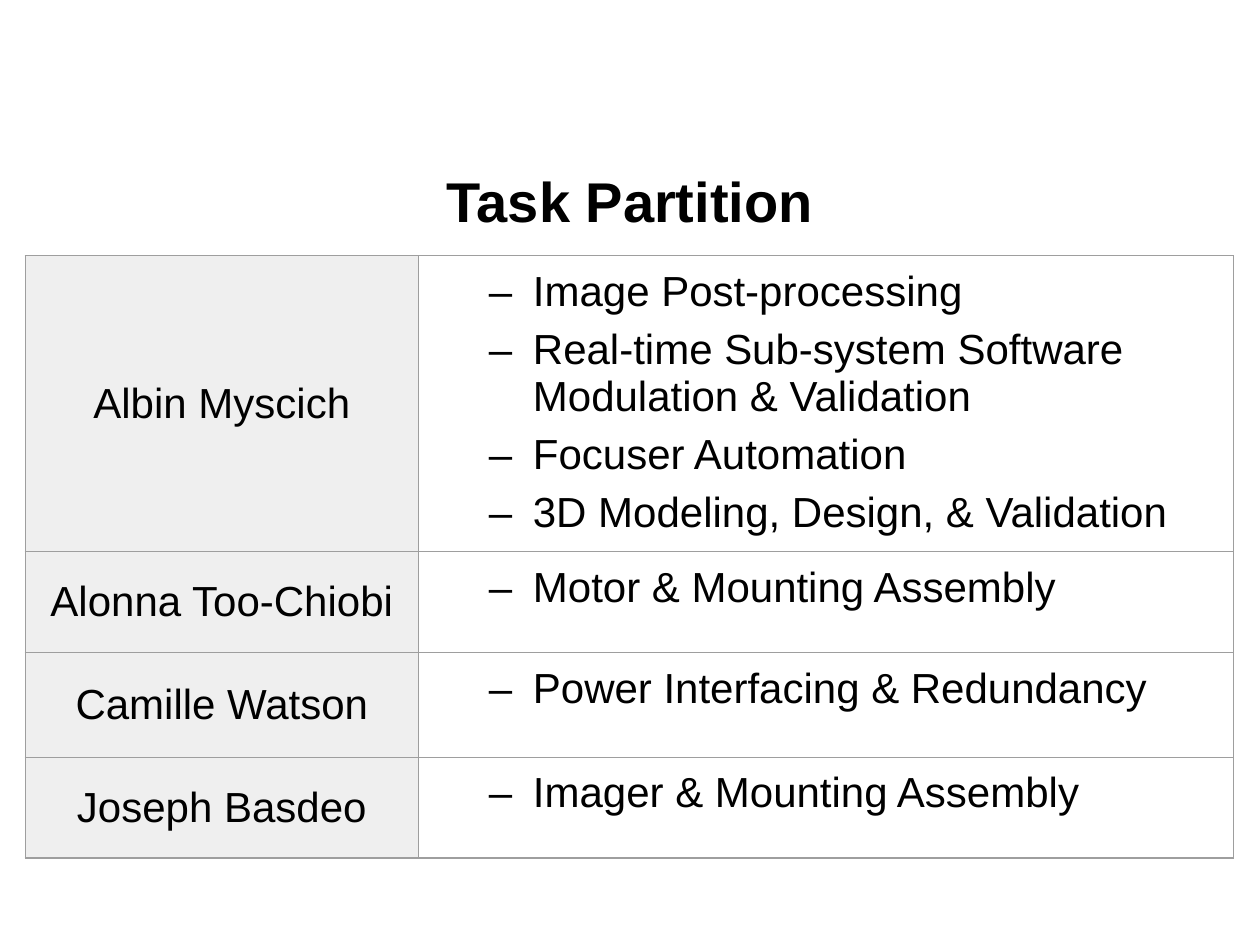
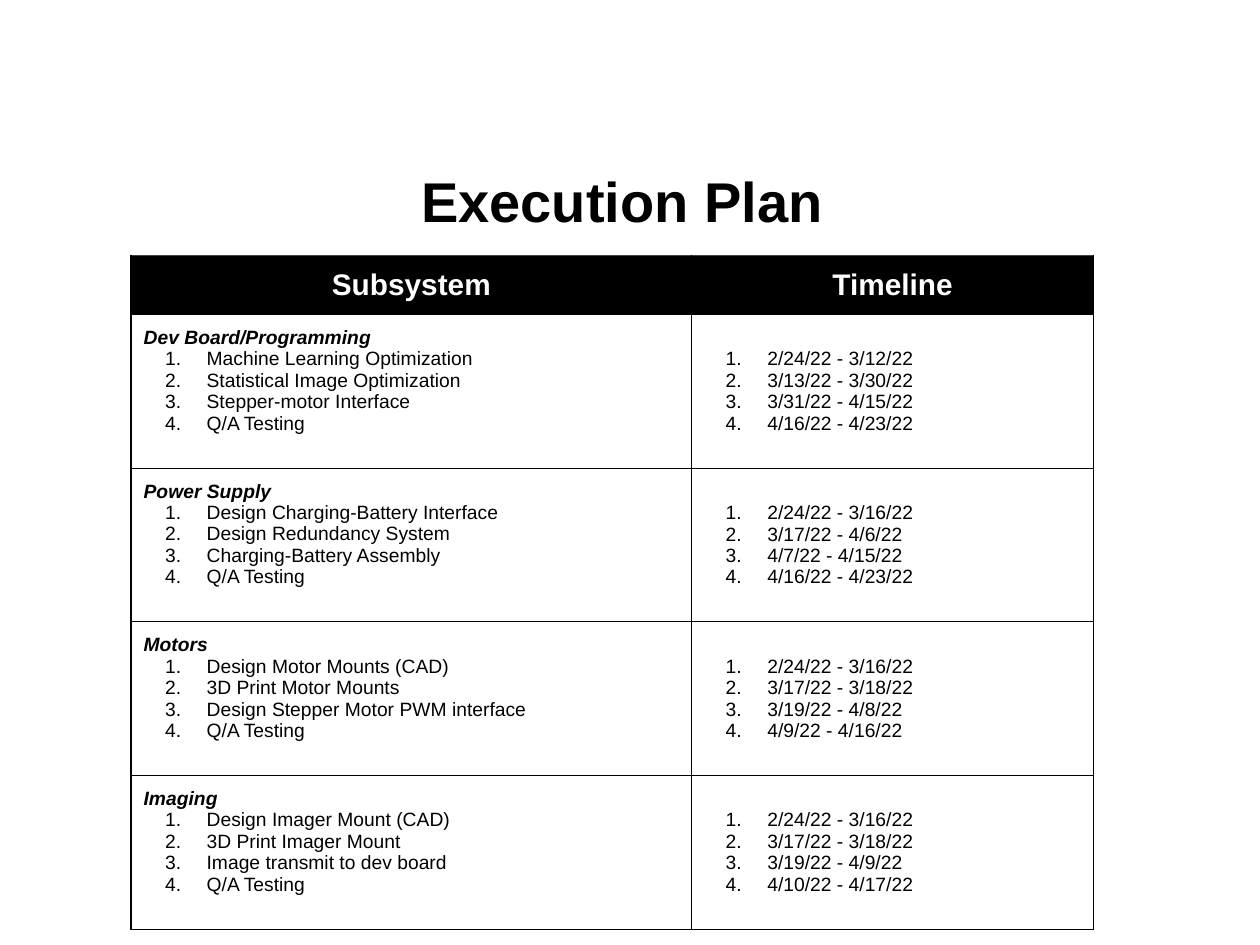
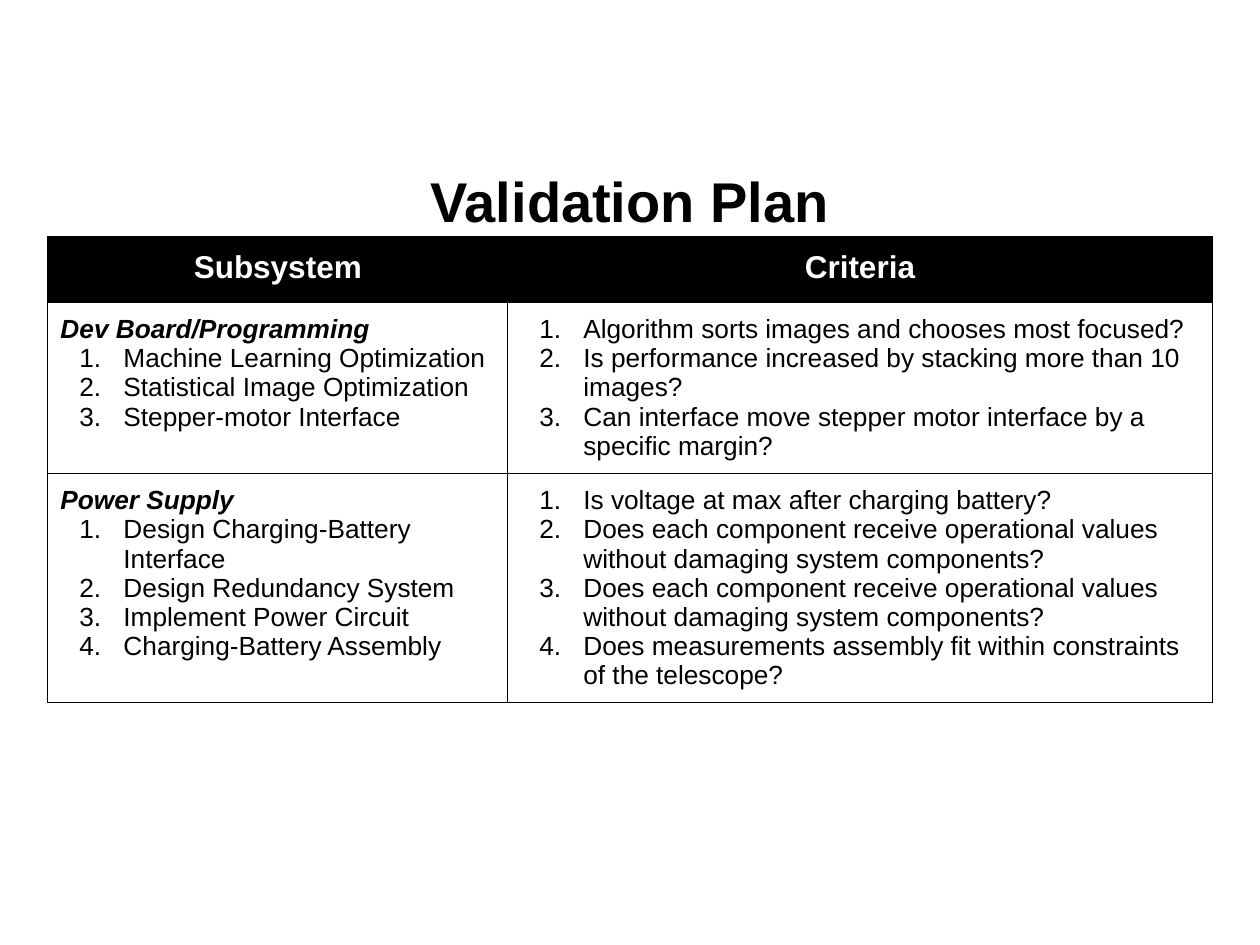
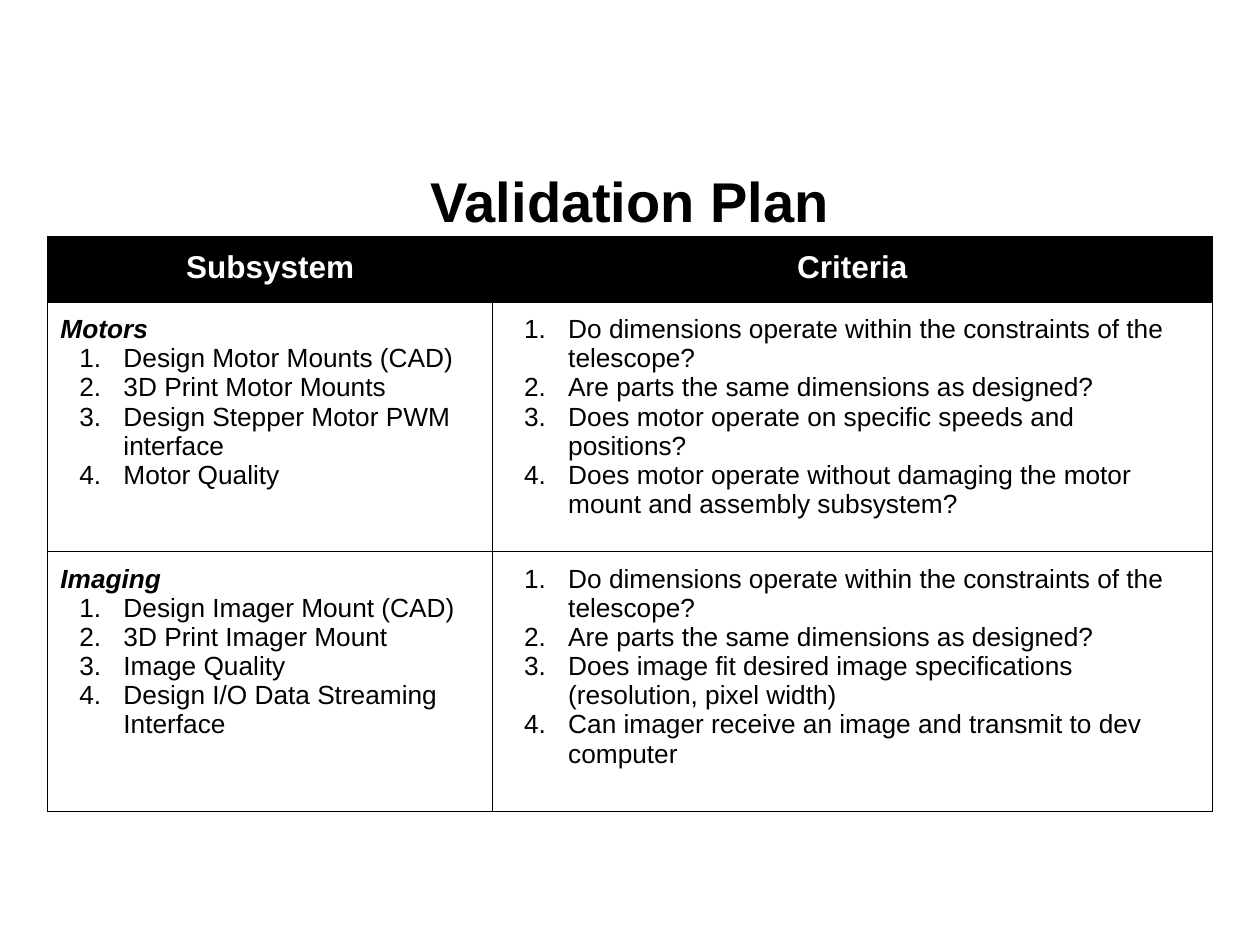
import pptx
import pptx.dml.color
import pptx.enum.text
import pptx.oxml
import pptx.oxml.ns
import pptx.util

Pt = pptx.util.Pt
RGBColor = pptx.dml.color.RGBColor
ALIGN = pptx.enum.text.PP_ALIGN
ANCHOR = pptx.enum.text.MSO_ANCHOR

FONT = "Arial"
BLACK = RGBColor(0x00, 0x00, 0x00)
WHITE = RGBColor(0xFF, 0xFF, 0xFF)
NAME_FILL = RGBColor(0xEF, 0xEF, 0xEF)
GRAY_LINE = RGBColor(0x9E, 0x9E, 0x9E)
NAVY_LINE = RGBColor(0x1F, 0x49, 0x7D)

CELL_MARGIN = Pt(7.2)
LINE_HEIGHT = 1.117
TITLE_BOX = {"left": Pt(36), "top": Pt(82.8), "width": Pt(648), "height": Pt(63.36)}
TITLE_FRAME = {
    "margin_left": Pt(7.2), "margin_right": Pt(7.2),
    "margin_top": Pt(3.6), "margin_bottom": Pt(3.6),
    "vertical_anchor": ANCHOR.MIDDLE, "word_wrap": True,
    "auto_size": pptx.enum.text.MSO_AUTO_SIZE.NONE,
}
TABLE_FLAGS = {"first_row": False, "horz_banding": False}

TASKS = [
    ("Albin Myscich", [
        "Image Post-processing",
        "Real-time Sub-system Software Modulation & Validation",
        "Focuser Automation",
        "3D Modeling, Design, & Validation"]),
    ("Alonna Too-Chiobi", ["Motor & Mounting Assembly"]),
    ("Camille Watson", ["Power Interfacing & Redundancy"]),
    ("Joseph Basdeo", ["Imager & Mounting Assembly"]),
]

EXECUTION = [
    ("Dev Board/Programming",
     ["Machine Learning Optimization", "Statistical Image Optimization",
      "Stepper-motor Interface", "Q/A Testing"],
     ["2/24/22 - 3/12/22", "3/13/22 - 3/30/22", "3/31/22 - 4/15/22", "4/16/22 - 4/23/22"]),
    ("Power Supply",
     ["Design Charging-Battery Interface", "Design Redundancy System",
      "Charging-Battery Assembly", "Q/A Testing"],
     ["2/24/22 - 3/16/22", "3/17/22 - 4/6/22", "4/7/22 - 4/15/22", "4/16/22 - 4/23/22"]),
    ("Motors",
     ["Design Motor Mounts (CAD)", "3D Print Motor Mounts",
      "Design Stepper Motor PWM interface", "Q/A Testing"],
     ["2/24/22 - 3/16/22", "3/17/22 - 3/18/22", "3/19/22 - 4/8/22", "4/9/22 - 4/16/22"]),
    ("Imaging",
     ["Design Imager Mount (CAD)", "3D Print Imager Mount",
      "Image transmit to dev board", "Q/A Testing"],
     ["2/24/22 - 3/16/22", "3/17/22 - 3/18/22", "3/19/22 - 4/9/22", "4/10/22 - 4/17/22"]),
]

VALIDATION_ELECTRONICS = [
    ("Dev Board/Programming",
     ["Machine Learning Optimization", "Statistical Image Optimization",
      "Stepper-motor Interface"],
     ["Algorithm sorts images and chooses most focused?",
      "Is performance increased by stacking more than 10 images?",
      "Can interface move stepper motor interface by a specific margin?"]),
    ("Power Supply",
     ["Design Charging-Battery Interface", "Design Redundancy System",
      "Implement Power Circuit", "Charging-Battery Assembly"],
     ["Is voltage at max after charging battery?",
      "Does each component receive operational values without damaging system components?",
      "Does each component receive operational values without damaging system components?",
      "Does measurements assembly fit within constraints of the telescope?"]),
]

VALIDATION_MECHANICS = [
    ("Motors",
     ["Design Motor Mounts (CAD)", "3D Print Motor Mounts",
      "Design Stepper Motor PWM interface", "Motor Quality"],
     ["Do dimensions operate within the constraints of the telescope?",
      "Are parts the same dimensions as designed?",
      "Does motor operate on specific speeds and positions?",
      "Does motor operate without damaging the motor mount and assembly subsystem?"]),
    ("Imaging",
     ["Design Imager Mount (CAD)", "3D Print Imager Mount",
      "Image Quality", "Design I/O Data Streaming Interface"],
     ["Do dimensions operate within the constraints of the telescope?",
      "Are parts the same dimensions as designed?",
      "Does image fit desired image specifications (resolution, pixel width)",
      "Can imager receive an image and transmit to dev computer"]),
]


def apply_format(target, values):
    for name, value in values.items():
        setattr(target, name, value)


def add_xml(parent, tag, content="", attributes="", index=None):
    namespace = pptx.oxml.ns.nsdecls("a")
    element = pptx.oxml.parse_xml(f"<a:{tag} {namespace} {attributes}>{content}</a:{tag}>")
    parent.insert(len(parent) if index is None else index, element)


def solid_color(color):
    return f'<a:srgbClr val="{color}"/>'


def write_run(paragraph, text, size, color=BLACK, bold=False, italic=False):
    run = paragraph.add_run()
    run.text = text
    apply_format(run.font, {"name": FONT, "size": Pt(size), "bold": bold, "italic": italic})
    run.font.color.rgb = color


def next_paragraph(text_frame):
    first = text_frame.paragraphs[0]
    return text_frame.add_paragraph() if first.runs else first


def add_list(text_frame, items, size, margin, hanging, bullet, level=0, gap=0):
    for item in items:
        paragraph = next_paragraph(text_frame)
        apply_format(paragraph, {"level": level, "space_before": Pt(gap if item != items[0] else 0)})
        properties = paragraph._p.get_or_add_pPr()
        properties.set("marL", str(Pt(margin)))
        properties.set("indent", str(-Pt(hanging)))
        add_xml(properties, "buClr", solid_color(BLACK))
        add_xml(properties, "buFont", attributes=f'typeface="{FONT}"')
        add_xml(properties, *bullet)
        write_run(paragraph, item, size)


DASH = ("buChar", "", 'char="–"')
NUMBER = ("buAutoNum", "", 'type="arabicPeriod"')


def style_cell(cell, line, fill=None, top_line=None):
    margins = ("margin_left", "margin_right", "margin_top", "margin_bottom")
    apply_format(cell, dict.fromkeys(margins, CELL_MARGIN))
    if fill is None:
        cell.fill.background()
    else:
        cell.fill.solid()
        cell.fill.fore_color.rgb = fill
    properties = cell._tc.get_or_add_tcPr()
    for index, side in enumerate("LRTB"):
        color = top_line if side == "T" and top_line else line
        add_xml(properties, f"ln{side}", f"<a:solidFill>{solid_color(color)}</a:solidFill>",
                f'w="{Pt(0.75)}"', index)


def add_grid(slide, left, top, widths, heights):
    frame = slide.shapes.add_table(len(heights), len(widths), Pt(left), Pt(top),
                                   Pt(sum(widths)), Pt(sum(heights)))
    table = frame.table
    apply_format(table, TABLE_FLAGS)
    for column, width in zip(table.columns, widths):
        column.width = Pt(width)
    for row, height in zip(table.rows, heights):
        row.height = Pt(height)
    return table


def add_titled_slide(presentation, text, right_margin=7.2):
    slide = presentation.slides.add_slide(presentation.slide_layouts[5])
    title = slide.shapes.title
    apply_format(title, TITLE_BOX)
    apply_format(title.text_frame, TITLE_FRAME)
    title.text_frame.margin_right = Pt(right_margin)
    paragraph = title.text_frame.paragraphs[0]
    paragraph.alignment = ALIGN.CENTER
    write_run(paragraph, text, 32, bold=True)
    return slide


def add_task_table(slide, left, top, widths, heights):
    table = add_grid(slide, left, top, widths, heights)
    for row, (member, tasks) in enumerate(TASKS):
        name_cell, task_cell = table.cell(row, 0), table.cell(row, 1)
        style_cell(name_cell, GRAY_LINE, NAME_FILL)
        style_cell(task_cell, GRAY_LINE)
        name_cell.vertical_anchor = ANCHOR.MIDDLE
        paragraph = name_cell.text_frame.paragraphs[0]
        paragraph.alignment = ALIGN.CENTER
        write_run(paragraph, member, 24)
        add_list(task_cell.text_frame, tasks, 24, 58.32, 25.2, DASH, level=1, gap=6.4)


def add_plan_table(slide, left, top, widths, heights, headings, plan, heading_size, size,
                   hanging, top_line=None, align_with_items=False):
    table = add_grid(slide, left, top, widths, heights)
    for column, heading in enumerate(headings):
        cell = table.cell(0, column)
        style_cell(cell, BLACK, BLACK, top_line)
        paragraph = cell.text_frame.paragraphs[0]
        paragraph.alignment = ALIGN.CENTER
        write_run(paragraph, heading, heading_size, WHITE, bold=True)
    for row, (subsystem, steps, details) in enumerate(plan, start=1):
        step_cell, detail_cell = table.cell(row, 0), table.cell(row, 1)
        for cell in (step_cell, detail_cell):
            style_cell(cell, BLACK)
        write_run(step_cell.text_frame.paragraphs[0], subsystem, size, bold=True, italic=True)
        add_list(step_cell.text_frame, steps, size, 36, hanging, NUMBER)
        add_list(detail_cell.text_frame, details, size, 36, hanging, NUMBER)
        if align_with_items:
            detail_cell.margin_top = CELL_MARGIN + Pt(size * LINE_HEIGHT)


def main():
    presentation = pptx.Presentation()
    apply_format(presentation, {"slide_width": Pt(720), "slide_height": Pt(540)})

    slide = add_titled_slide(presentation, "Task Partition")
    add_task_table(slide, 14.4, 146.16, [224.64, 465.84], [169.2, 57.6, 59.76, 57.6])

    slide = add_titled_slide(presentation, "Execution Plan", right_margin=16.1)
    add_plan_table(slide, 74.88, 146.16, [320.4, 229.68], [30.96] + [87.84] * len(EXECUTION),
                   ["Subsystem", "Timeline"], EXECUTION, 17, 11, 23.76,
                   top_line=NAVY_LINE, align_with_items=True)

    validation_slides = [
        (VALIDATION_ELECTRONICS, [262.8, 402.48], [37.44, 97.2, 129.6]),
        (VALIDATION_MECHANICS, [254.16, 411.12], [37.44, 142.56, 148.32]),
    ]
    for plan, widths, heights in validation_slides:
        slide = add_titled_slide(presentation, "Validation Plan")
        add_plan_table(slide, 27.36, 135.36, widths, heights,
                       ["Subsystem", "Criteria"], plan, 18, 15, 25.2)

    presentation.save("out.pptx")


if __name__ == "__main__":
    main()
